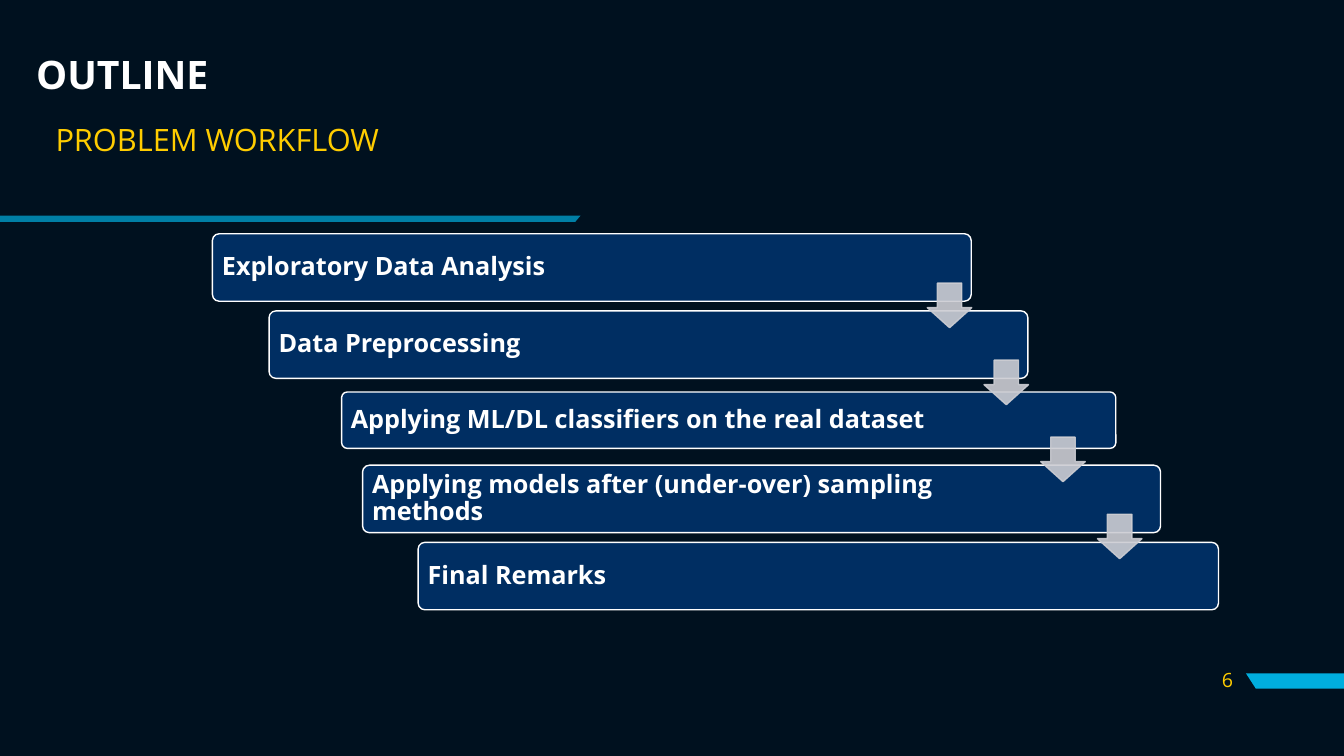
"""Build the problem workflow outline slide."""
from dataclasses import dataclass

from lxml.etree import SubElement
from pptx import Presentation
from pptx.dml.color import RGBColor
from pptx.dml.fill import FillFormat
from pptx.enum.shapes import MSO_SHAPE as Shape
from pptx.enum.text import MSO_ANCHOR as Anchor, PP_ALIGN as Align
from pptx.oxml.ns import qn
from pptx.shapes.autoshape import Shape as AutoShape
from pptx.text.text import TextFrame
from pptx.util import Pt

NIGHT = RGBColor(0x00, 0x11, 0x1F)
NAVY = RGBColor(0x00, 0x2E, 0x62)
CYAN = RGBColor(0x00, 0xAE, 0xDE)
GOLD = RGBColor(0xFF, 0xCD, 0x00)
GREY = RGBColor(0xCC, 0xCD, 0xD3)
WHITE = RGBColor(0xFF, 0xFF, 0xFF)
FONT = "Open Sans"
STEP_TOP, STEP_PITCH = 167, 55.1
ARROW_LEFT, ARROW_TOP, ARROW_SIZE = 662.4, 202.3, 31.8
ARROW_DX, ARROW_DY = 40.5, 55


@dataclass(frozen=True)
class Step:
    """One bar of the workflow staircase."""
    text: str
    left: float
    width: float
    height: float = 48.2
    drop: float = 0


@dataclass(frozen=True)
class Label:
    """A free-standing line of text."""
    text: str
    box: tuple[float, float, float, float]
    size: float
    color: RGBColor
    bold: bool = False
    anchor: Anchor = Anchor.MIDDLE
    align: Align = Align.LEFT
    before: float = 0


@dataclass(frozen=True)
class Stripe:
    """A slanted accent stripe."""
    points: tuple[tuple[float, float], ...]
    opacity: int = 100


STRIPES = (
    Stripe(((960, 481), (960, 491.8), (897, 491.8), (890, 481))),
    Stripe(((0, 154), (0, 158.4), (411, 158.4), (414.7, 154)), 70),
)
LABELS = (
    Label("OUTLINE", (18.7, 23.8, 398, 62), 28, WHITE, bold=True),
    Label("PROBLEM WORKFLOW", (32.6, 85.7, 348.5, 59), 22, GOLD,
          anchor=Anchor.TOP, before=10),
    Label("6", (844.6, 472.3, 43.2, 28.8), 14, GOLD, align=Align.RIGHT),
)
STEPS = (
    Step("Exploratory Data Analysis", 151.7, 542),
    Step("Data Preprocessing", 192.2, 542),
    Step("Applying ML/DL classifiers on the real dataset", 244, 553, 40.3, 2.8),
    Step("Applying models after (under-over) sampling methods", 259, 570),
    Step("Final Remarks", 298.7, 571.7),
)


def paint(fill: FillFormat, color: RGBColor, opacity: int = 100) -> None:
    """Apply a solid colour with the given opacity in percent."""
    fill.solid()
    fill.fore_color.rgb = color
    if opacity < 100:
        clr = fill._xPr.find(qn("a:solidFill"))[0]
        SubElement(clr, qn("a:alpha"), val=str(opacity * 1000))


def write(tf: TextFrame, text: str, size: float, color: RGBColor, bold: bool,
          anchor: Anchor, align: Align = Align.LEFT, before: float = 0) -> None:
    """Write one styled paragraph into a text frame."""
    tf.word_wrap = True
    tf.vertical_anchor = anchor
    p = tf.paragraphs[0]
    p.alignment = align
    p.line_spacing = 0.9
    p.space_before = Pt(before)
    r = p.add_run()
    r.text = text
    r.font.name = FONT
    r.font.size = Pt(size)
    r.font.bold = bold
    r.font.color.rgb = color


def add_stripe(stripe: Stripe) -> None:
    """Draw an accent stripe."""
    start, *rest = [(Pt(x), Pt(y)) for x, y in stripe.points]
    builder = s.shapes.build_freeform(*start)
    builder.add_line_segments(rest, close=True)
    sp = builder.convert_to_shape()
    sp.shadow.inherit = False
    paint(sp.fill, CYAN, stripe.opacity)
    sp.line.fill.background()


def add_label(label: Label) -> None:
    """Draw a text box."""
    sp = s.shapes.add_textbox(*map(Pt, label.box))
    write(sp.text_frame, label.text, label.size, label.color, label.bold,
          label.anchor, label.align, label.before)


def add_block(kind: Shape, box: tuple[float, ...], fill: RGBColor,
              line: RGBColor, adjust: tuple[float, ...],
              opacity: int = 100) -> AutoShape:
    """Draw a filled and outlined preset shape."""
    sp = s.shapes.add_shape(kind, *map(Pt, box))
    sp.shadow.inherit = False
    for i, value in enumerate(adjust):
        sp.adjustments[i] = value
    paint(sp.fill, fill, opacity)
    paint(sp.line.fill, line, opacity)
    sp.line.width = Pt(1)
    return sp


def add_step(i: int, step: Step) -> None:
    """Draw a workflow bar with its text clear of the arrow."""
    top = STEP_TOP + i * STEP_PITCH + step.drop
    sp = add_block(Shape.ROUNDED_RECTANGLE,
                   (step.left, top, step.width, step.height),
                   NAVY, WHITE, (0.1,))
    tf = sp.text_frame
    tf.margin_left = tf.margin_top = tf.margin_bottom = Pt(5.4)
    tf.margin_right = Pt(84)
    write(tf, step.text, 18, WHITE, True, Anchor.MIDDLE)


def add_arrow(i: int) -> None:
    """Draw the arrow leading from one bar to the next."""
    box = (ARROW_LEFT + i * ARROW_DX, ARROW_TOP + i * ARROW_DY,
           ARROW_SIZE, ARROW_SIZE)
    sp = add_block(Shape.DOWN_ARROW, box, GREY, GREY, (), 90)
    sp.adjustments[0] = 0.55
    sp.adjustments[1] = 0.45


prs = Presentation()
prs.slide_width, prs.slide_height = Pt(960), Pt(540)
s = prs.slides.add_slide(prs.slide_layouts[6])
paint(s.background.fill, NIGHT)
for stripe in STRIPES:
    add_stripe(stripe)
for label in LABELS:
    add_label(label)
for i, step in enumerate(STEPS):
    add_step(i, step)
for i in range(len(STEPS) - 1):
    add_arrow(i)
prs.save("out.pptx")
